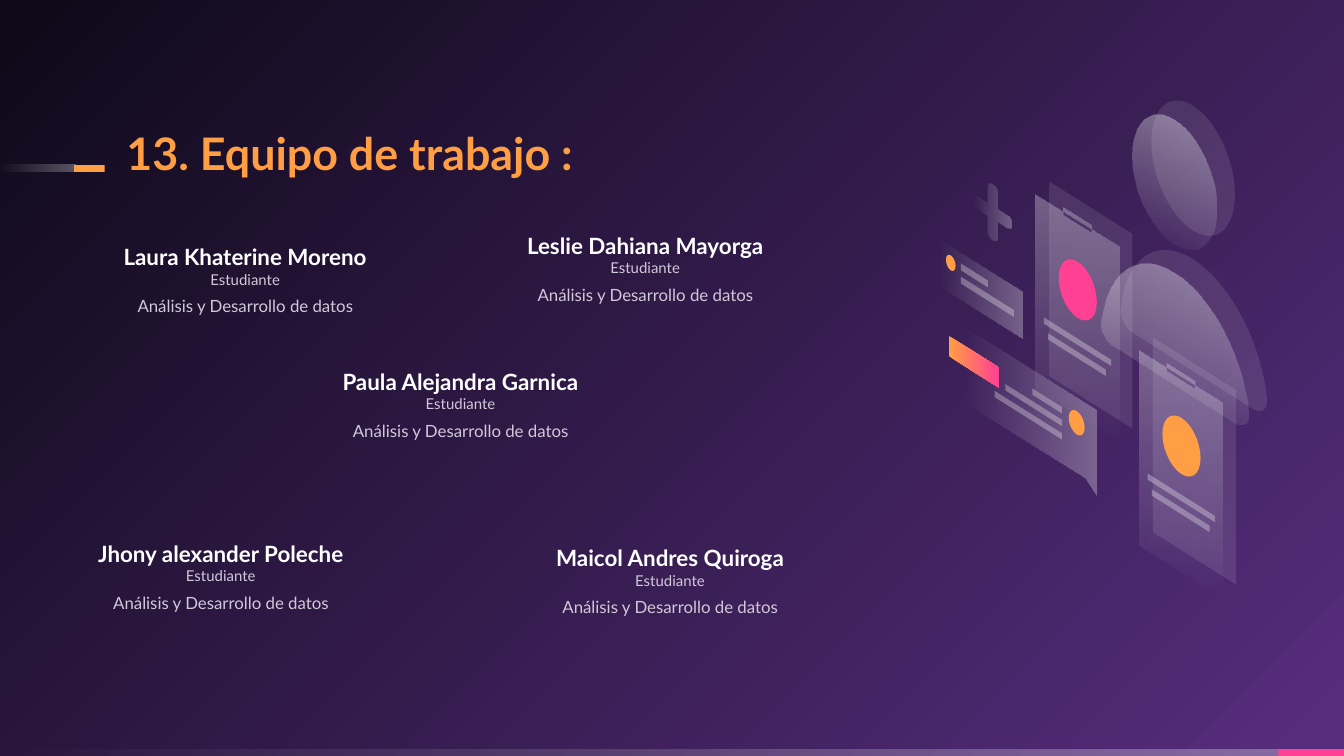
import math
from dataclasses import dataclass

import lxml.etree
import pptx
import pptx.dml.color
import pptx.enum.shapes
import pptx.enum.text
import pptx.oxml.ns
import pptx.util

Cm = pptx.util.Cm
qn = pptx.oxml.ns.qn
SLOPE = 0.63  # fall per unit of width on the slanted panels


@dataclass(frozen=True)
class Paint:
    """One or two (colour, opacity %) stops; angle runs clockwise."""
    stops: tuple
    angle: int = 0


def white(*opacities, angle=0):
    return Paint(tuple(("FFFFFF", opacity) for opacity in opacities), angle)


@dataclass(frozen=True)
class Theme:
    font: str = "Lato"
    orange: str = "FF9E44"
    pink: str = "FF4093"
    name_color: str = "FFFFFF"
    detail_color: str = "D1C8DA"
    backdrop: tuple = ("572D7E", "0E0918")
    title_size: int = 24
    name_size: int = 12
    role_size: int = 8
    field_size: int = 9
    ghost: Paint = white(10)
    bar: Paint = white(30)
    fade_left: Paint = white(30, 0, angle=180)
    fade_down: Paint = white(30, 0, angle=90)
    fade_person: Paint = white(40, 0, angle=110)
    tag: Paint = Paint(((orange, 100), (pink, 100)))
    orange_fill: Paint = Paint(((orange, 100),))
    pink_fill: Paint = Paint(((pink, 100),))


def rgb(code):
    return pptx.dml.color.RGBColor.from_string(code)


def write(para, text, *, font, size, color, bold=False):
    span = para.add_run()
    span.text = text
    span.font.name = font
    span.font.size = pptx.util.Pt(size)
    span.font.bold = bold
    span.font.color.rgb = rgb(color)


def trace(*steps):
    """Turn points and curves (two controls and an end) into a polyline."""
    points = []
    for step in steps:
        if len(step) == 2:
            points.append(step)
            continue
        corners = (points[-1], step[:2], step[2:4], step[4:])
        for t in (i / 12 for i in range(1, 13)):
            weights = ((1 - t) ** 3, 3 * t * (1 - t) ** 2, 3 * t * t * (1 - t), t ** 3)
            points.append(tuple(sum(w * corner[axis] for w, corner in zip(weights, corners))
                                for axis in (0, 1)))
    return points


def shift(points, dx, dy):
    return [(x + dx, y + dy) for x, y in points]


def slant(points, x0, y0):
    """Shear flat points and place their origin at x0, y0."""
    return [(x0 + x, y0 + y + SLOPE * x) for x, y in points]


def panel_points(left, top, width, height):
    return slant([(0, 0), (width, 0), (width, height), (0, height)], left, top)


class SlideBuilder:
    def __init__(self, deck, theme):
        self.theme = theme
        self.slide = deck.slides.add_slide(deck.slide_layouts[5])

    def gradient(self, fill, colors, angle):
        fill.gradient()
        fill.gradient_angle = (360 - angle) % 360
        for stop, color in zip(fill.gradient_stops, colors):
            stop.color.rgb = rgb(color)

    def background(self):
        self.gradient(self.slide.background.fill, self.theme.backdrop, 0)
        linear = next(self.slide.element.iter(qn("a:lin")))
        radial = lxml.etree.Element(qn("a:path"), {"path": "circle"})
        lxml.etree.SubElement(radial, qn("a:fillToRect"), {"l": "100000", "t": "100000"})
        linear.getparent().replace(linear, radial)

    def paint(self, shape, paint):
        shape.shadow.inherit = False
        shape.line.fill.background()
        colors = [color for color, _ in paint.stops]
        if len(colors) == 1:
            shape.fill.solid()
            shape.fill.fore_color.rgb = rgb(colors[0])
        else:
            self.gradient(shape.fill, colors, paint.angle)
        color_nodes = list(shape.element.spPr.iter(qn("a:srgbClr")))
        for node, (_, opacity) in zip(color_nodes, paint.stops):
            if opacity < 100:
                lxml.etree.SubElement(node, qn("a:alpha"), {"val": str(opacity * 1000)})

    def rectangle(self, left, top, width, height, paint):
        kind = pptx.enum.shapes.MSO_SHAPE.RECTANGLE
        self.paint(self.slide.shapes.add_shape(
            kind, Cm(left), Cm(top), Cm(width), Cm(height)), paint)

    def outline(self, paint, *contours):
        first, *holes = [[(Cm(x), Cm(y)) for x, y in points] for points in contours]
        builder = self.slide.shapes.build_freeform(*first[0])
        builder.add_line_segments(first[1:], close=True)
        for hole in holes:
            builder.move_to(*hole[0])
            builder.add_line_segments(hole[1:], close=True)
        self.paint(builder.convert_to_shape(), paint)

    def panel(self, left, top, width, height, paint):
        self.outline(paint, panel_points(left, top, width, height))

    def disc(self, x, y, radius_x, radius_y, paint):
        turns = [math.tau * i / 48 for i in range(48)]
        ring = [(radius_x * math.cos(t), radius_y * math.sin(t)) for t in turns]
        self.outline(paint, slant(ring, x, y))

    def profile_card(self, left, top, dot_paint):
        theme = self.theme
        self.panel(left + 0.25, top - 0.25, 1.57, 3.68, theme.ghost)
        self.outline(theme.fade_down, panel_points(left, top, 1.57, 3.68),
                     panel_points(left + 0.51, top + 0.24, 0.53, 0.15))
        self.panel(left + 0.15, top + 2.32, 1.27, 0.12, theme.bar)
        self.panel(left + 0.23, top + 2.62, 1.09, 0.12, theme.bar)
        self.disc(left + 0.79, top + 1.8, 0.36, 0.53, dot_paint)

    def frame(self, box, anchor):
        frame = box.text_frame
        frame.word_wrap = True
        frame.auto_size = pptx.enum.text.MSO_AUTO_SIZE.NONE
        frame.vertical_anchor = anchor
        frame.margin_left = frame.margin_right = frame.margin_top = frame.margin_bottom = 0
        return frame

    def title(self, text, left, top, width, height):
        box = self.slide.shapes.title
        box.left, box.top, box.width, box.height = Cm(left), Cm(top), Cm(width), Cm(height)
        para = self.frame(box, pptx.enum.text.MSO_ANCHOR.BOTTOM).paragraphs[0]
        para.alignment = pptx.enum.text.PP_ALIGN.LEFT
        para.line_spacing = 0.9
        write(para, text, font=self.theme.font, size=self.theme.title_size,
              color=self.theme.orange, bold=True)

    def member(self, name, left, top, width, height):
        theme = self.theme
        box = self.slide.shapes.add_textbox(Cm(left), Cm(top), Cm(width), Cm(height))
        frame = self.frame(box, pptx.enum.text.MSO_ANCHOR.TOP)
        heading, field = frame.paragraphs[0], frame.add_paragraph()
        heading.alignment = field.alignment = pptx.enum.text.PP_ALIGN.CENTER
        field.space_before = pptx.util.Pt(4)
        write(heading, name, font=theme.font, size=theme.name_size,
              color=theme.name_color, bold=True)
        heading.add_line_break()
        write(heading, "Estudiante", font=theme.font, size=theme.role_size,
              color=theme.detail_color)
        write(field, "Análisis y Desarrollo de datos", font=theme.font,
              size=theme.field_size, color=theme.detail_color)


def main():
    deck = pptx.Presentation()
    deck.slide_width, deck.slide_height = Cm(25.4), Cm(14.29)
    theme = Theme()
    page = SlideBuilder(deck, theme)
    page.background()

    # Footer strip and title marker
    page.rectangle(0, 14.16, 24.23, 0.13, theme.fade_left)
    page.rectangle(24.16, 14.16, 1.24, 0.13, theme.pink_fill)
    page.rectangle(0, 3.12, 1.42, 0.13, theme.fade_left)
    page.rectangle(1.4, 3.12, 0.58, 0.13, theme.orange_fill)
    page.title("13. Equipo de trabajo :", 2.39, 2.31, 14.73, 1.09)

    # Team members
    for member in (("Laura Khaterine Moreno", 2.21, 4.6, 4.85, 2.06),
                   ("Jhony alexander Poleche", 1.75, 10.21, 4.85, 2.36),
                   ("Leslie Dahiana Mayorga", 9.91, 4.39, 4.57, 2.06),
                   ("Maicol Andres Quiroga", 10.34, 10.29, 4.65, 2.36),
                   ("Paula Alejandra Garnica", 6.38, 6.96, 4.65, 2.36)):
        page.member(*member)

    # Person: ghost behind, faded figure in front
    torso = trace((22.2, 5.16), (21.51, 4.72, 20.93, 5.13, 20.83, 6.1),
                  (20.8, 6.25, 20.93, 6.48, 21.06, 6.55), (23.34, 8.0),
                  (23.5, 8.08, 23.6, 8.0, 23.6, 7.82), (23.5, 6.76, 22.91, 5.61, 22.2, 5.16))
    for dx, dy, paint in ((0.35, -0.26, theme.ghost), (0, 0, theme.fade_person)):
        page.outline(paint, shift(torso, dx, dy))
        page.disc(22.2 + dx, 3.44 + dy, 0.79, 1.18, paint)

    # Small note
    page.panel(17.75, 4.52, 1.57, 0.89, theme.fade_left)
    page.disc(17.97, 4.97, 0.09, 0.14, theme.orange_fill)
    page.panel(18.16, 4.98, 0.51, 0.13, theme.bar)
    page.panel(18.16, 5.23, 1.0, 0.13, theme.bar)

    # Profile cards
    page.profile_card(21.54, 6.63, theme.orange_fill)
    page.profile_card(19.58, 3.68, theme.pink_fill)

    # Speech bubble with tag
    page.outline(theme.fade_left, [(20.73, 7.75), (18.21, 6.17), (18.21, 7.59),
                                   (20.5, 9.02), (20.73, 9.37)])
    page.panel(17.93, 6.35, 0.95, 0.38, theme.tag)
    for left, top, width in ((19.51, 7.34, 0.56), (19.0, 7.26, 1.07), (18.8, 7.39, 1.27)):
        page.panel(left, top, width, 0.12, theme.bar)
    page.disc(20.35, 7.99, 0.15, 0.22, theme.orange_fill)

    # Plus sign
    plus = trace((-0.09, -0.42), (-0.09, -0.55, 0.09, -0.55, 0.09, -0.42), (0.09, -0.12),
                 (0.26, -0.12), (0.39, -0.12, 0.39, 0.12, 0.26, 0.12), (0.09, 0.12),
                 (0.09, 0.42), (0.09, 0.55, -0.09, 0.55, -0.09, 0.42), (-0.09, 0.12),
                 (-0.26, 0.12), (-0.39, 0.12, -0.39, -0.12, -0.26, -0.12), (-0.09, -0.12))
    page.outline(theme.fade_left, slant(plus, 18.75, 4.01))

    deck.save("out.pptx")


if __name__ == "__main__":
    main()
